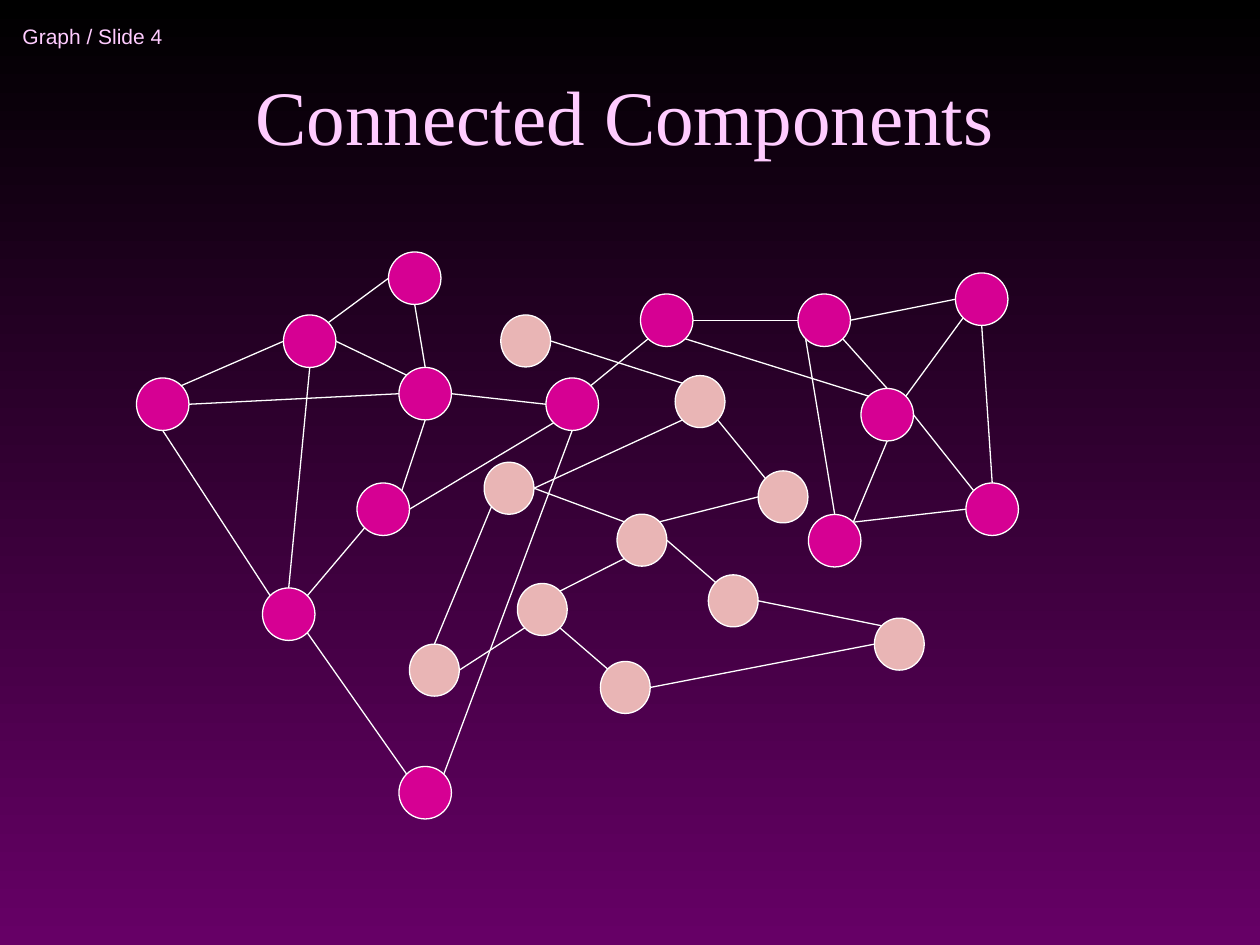
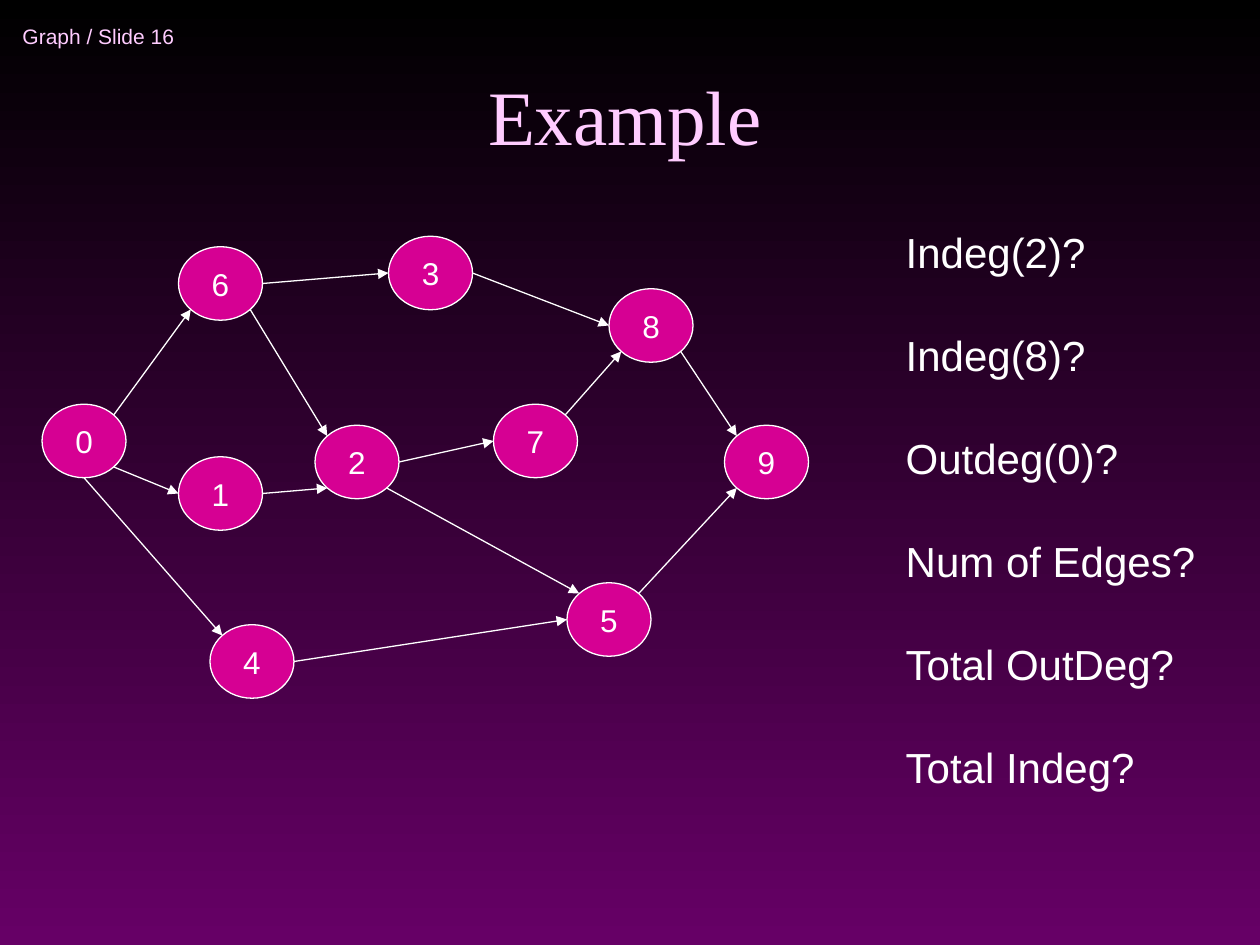
from math import cos, pi, sin

from lxml import etree
from pptx import Presentation
from pptx.dml.color import RGBColor
from pptx.enum.shapes import MSO_CONNECTOR, MSO_SHAPE
from pptx.enum.text import MSO_ANCHOR, PP_ALIGN
from pptx.oxml.ns import qn
from pptx.util import Inches, Pt

OVAL, STRAIGHT = MSO_SHAPE.OVAL, MSO_CONNECTOR.STRAIGHT
LEFT, CENTER = PP_ALIGN.LEFT, PP_ALIGN.CENTER
TOP, MIDDLE, BOTTOM = MSO_ANCHOR.TOP, MSO_ANCHOR.MIDDLE, MSO_ANCHOR.BOTTOM

COLORS = {"top": "000000", "bottom": "660066", "heading": "FFCCFF",
          "text": "FFFFFF", "line": "FFFFFF", "pink": "D60093", "peach": "E9B5B5"}
SANS, SERIF = "Arial", "Times New Roman"
LINE_WIDTH = Pt(0.75)

# Compass points of an oval, clockwise in steps of 45 degrees
COMPASS = ["E", "SE", "S", "SW", "W", "NW", "N", "NE"]

# Grids: left, top, column width, row height
TWELFTHS = (0, 0, 1 / 12, 1 / 12)
PEACH_GRID = (3.25, 2.5, 3.69 / 56, 2.75 / 40)

# Nodes as (column, row); edges as "node.point node.point"
PINK_NODES = {"A": (13, 36), "B": (27, 30), "C": (37, 24), "D": (38, 35), "E": (34, 46),
              "F": (25, 56), "G": (38, 73), "H": (52, 36), "I": (61, 28), "J": (76, 28),
              "K": (91, 26), "L": (82, 37), "M": (92, 46), "N": (77, 49)}
PINK_EDGES = ["G.NW F.SE", "F.NE E.SW", "F.N B.S", "F.NW A.S", "A.NE B.W", "B.E D.NW",
              "E.NE D.S", "C.W B.NE", "D.W A.E", "C.S D.N", "D.E H.W", "H.S G.NE",
              "E.E H.SW", "I.SW H.NE", "I.E J.W", "J.SW N.N", "J.E K.W", "J.SE L.N",
              "M.N K.S", "N.NE M.W", "L.NE K.SW", "L.S N.NE", "L.E M.NW", "L.NW I.SE"]

PEACH_NODES = {"A": (9, 17), "B": (0, 38), "C": (13, 31), "D": (23, 40), "E": (25, 23),
               "F": (36, 30), "G": (56, 35), "H": (42, 18), "I": (32, 7), "J": (11, 0)}
PEACH_EDGES = ["J.E I.NW", "I.SE H.NW", "H.W E.NE", "I.SW A.E", "A.E E.NW", "A.SW B.N",
               "B.E C.SW", "C.NE E.SW", "C.SE D.NW", "D.E G.W", "E.E F.NW", "F.E G.NW"]

DIGRAPH_NODES = {"0": (4, 38.5), "1": (17, 43.5), "2": (30, 40.5), "3": (37, 22.5),
                 "4": (20, 59.5), "5": (54, 55.5), "6": (17, 23.5), "7": (47, 38.5),
                 "8": (58, 27.5), "9": (69, 40.5)}
DIGRAPH_EDGES = ["0.S 4.NW", "0.SE 1.W", "0.NE 6.SW", "6.E 3.W", "6.SE 2.NW",
                 "1.E 2.SW", "4.E 5.W", "2.SE 5.NW", "5.NE 9.SW", "2.E 7.W",
                 "3.E 8.W", "8.SE 9.NW", "7.NE 8.SW"]

QUESTIONS = ["Indeg(2)?", "Indeg(8)?", "Outdeg(0)?", "Num of Edges?",
             "Total OutDeg?", "Total Indeg?"]


def rgb(name):
    return RGBColor.from_string(COLORS[name])


def write(tf, lines, size, font, color, align=LEFT, anchor=TOP, wrap=True, gap=0):
    tf.word_wrap, tf.vertical_anchor = wrap, anchor
    for i, line in enumerate(lines):
        p = tf.add_paragraph() if i else tf.paragraphs[0]
        p.text, p.alignment = line, align
        p.space_before = Pt(gap if i else 0)
        p.font.size, p.font.name = Pt(size), font
        p.font.color.rgb = rgb(color)


def add_text(s, box, lines, *style, **options):
    tb = s.shapes.add_textbox(*map(Inches, box))
    write(tb.text_frame, lines, *style, **options)


def paint_background(master):
    fill = master.background.fill
    fill.gradient()
    fill.gradient_angle = 270
    for stop, position, name in zip(fill.gradient_stops, (0, 1), ("top", "bottom")):
        stop.position = position
        stop.color.rgb = rgb(name)


def add_slide(prs, number, title):
    s = prs.slides.add_slide(prs.slide_layouts[6])
    add_text(s, (0.08, 0.08, 2.75, 0.42), [f"Graph / Slide {number}"],
             12, SANS, "heading", anchor=MIDDLE)
    add_text(s, (0.67, 0.25, 8.58, 1.08), [title],
             44, SERIF, "heading", align=CENTER, anchor=BOTTOM)
    return s


def add_node(s, grid, cell, size, color, label):
    left, top, col, row = grid
    sp = s.shapes.add_shape(OVAL, Inches(left + cell[0] * col), Inches(top + cell[1] * row),
                            Inches(size[0] * col), Inches(size[1] * row))
    sp.shadow.inherit = False
    sp.fill.solid()
    sp.fill.fore_color.rgb = rgb(color)
    sp.line.color.rgb = rgb("line")
    sp.line.width = LINE_WIDTH
    if label:
        write(sp.text_frame, [label], 18, SANS, "text", CENTER, MIDDLE, wrap=False)
    return sp


def rim_point(node, point):
    angle = COMPASS.index(point) * pi / 4
    return (round(node.left + node.width / 2 * (1 + cos(angle))),
            round(node.top + node.height / 2 * (1 + sin(angle))))


def add_edge(s, start, end, arrow):
    c = s.shapes.add_connector(STRAIGHT, *start, *end)
    c.line.color.rgb = rgb("line")
    c.line.width = LINE_WIDTH
    sp_pr = c._element.spPr
    if arrow:
        etree.SubElement(sp_pr.find(qn("a:ln")), qn("a:tailEnd"), type="triangle")
    etree.SubElement(sp_pr, qn("a:effectLst"))


def add_graph(s, grid, cells, size, edges, color, directed=False):
    """Draw the nodes, then the edges; a directed graph has labels and arrows."""
    nodes = {name: add_node(s, grid, cell, size, color, name if directed else "")
             for name, cell in cells.items()}
    for edge in edges:
        ends = [end.split(".") for end in edge.split()]
        start, end = [rim_point(nodes[name], point) for name, point in ends]
        add_edge(s, start, end, directed)


def main():
    prs = Presentation()
    prs.slide_width, prs.slide_height = Inches(10), Inches(7.5)
    paint_background(prs.slide_master)

    # Two components, one per colour
    s = add_slide(prs, 4, "Connected Components")
    add_graph(s, PEACH_GRID, PEACH_NODES, (6, 6), PEACH_EDGES, "peach")
    add_graph(s, TWELFTHS, PINK_NODES, (5, 5), PINK_EDGES, "pink")

    # Directed graph with questions on degrees
    s = add_slide(prs, 16, "Example")
    add_graph(s, TWELFTHS, DIGRAPH_NODES, (8, 7), DIGRAPH_EDGES, "pink", directed=True)
    add_text(s, (7.09, 1.75, 2.5, 4.5), QUESTIONS, 24, SANS, "text", wrap=False, gap=30)

    prs.save("out.pptx")


if __name__ == "__main__":
    main()
